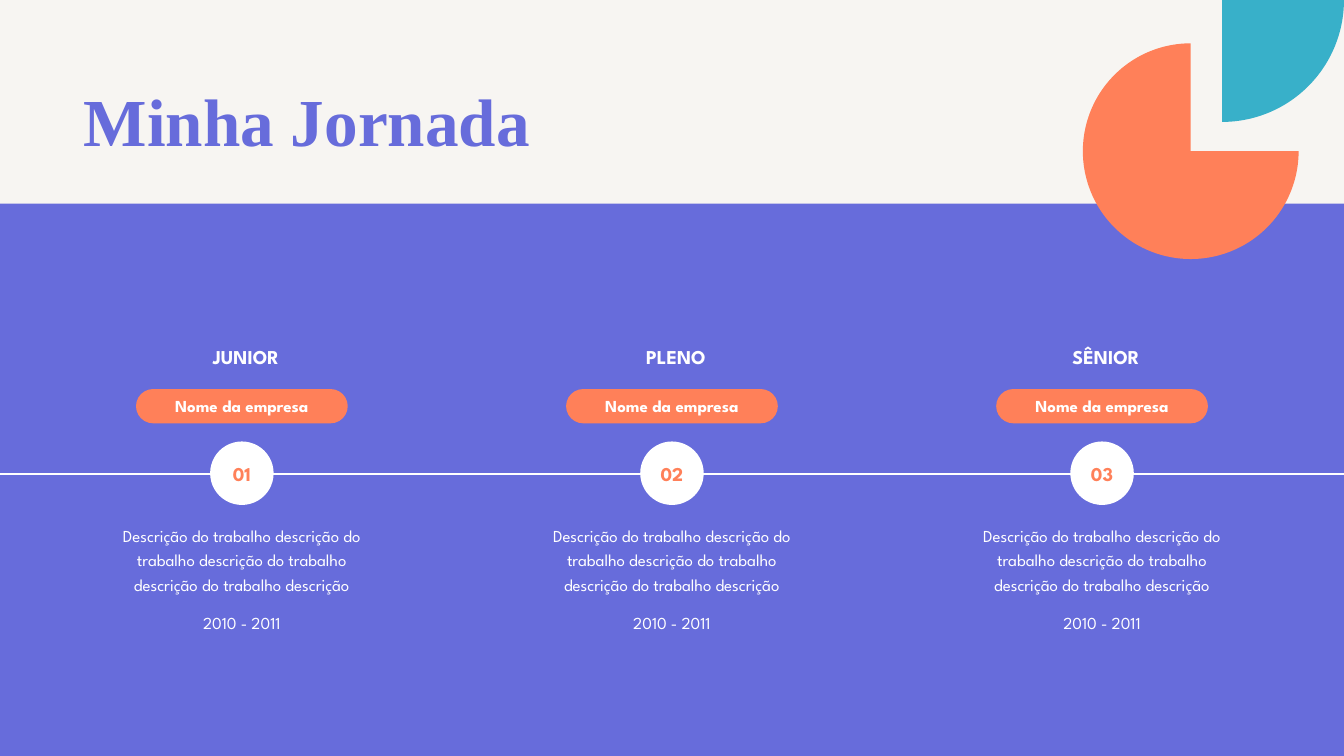
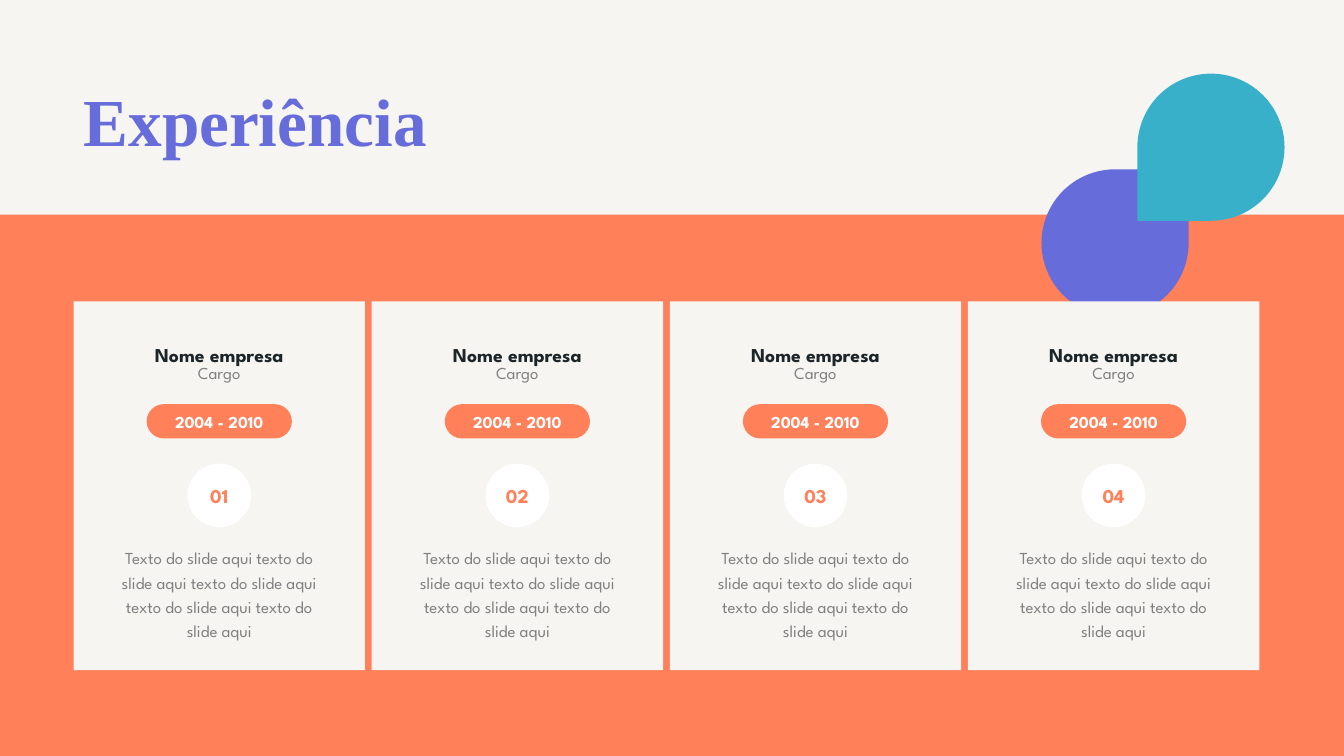
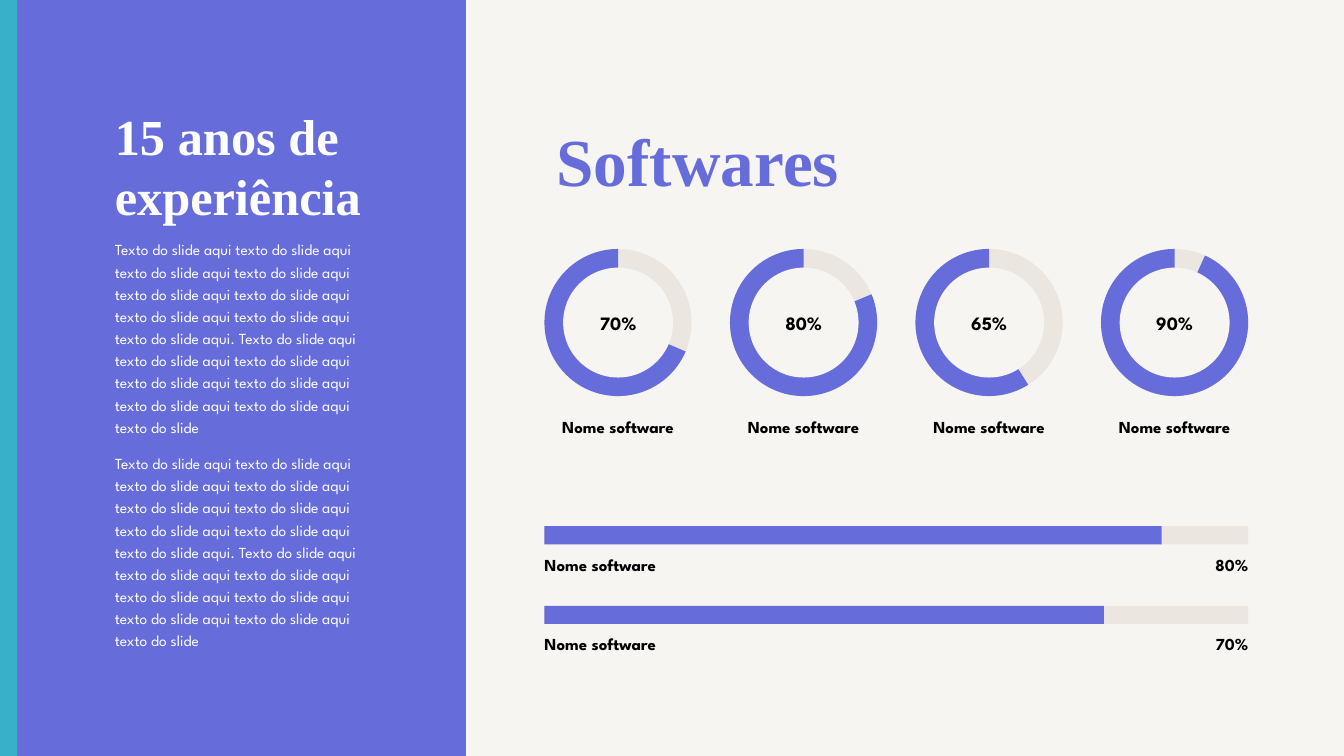
from math import cos, sin, pi
from pptx import Presentation
from pptx.dml.color import RGBColor
from pptx.enum.shapes import MSO_CONNECTOR, MSO_SHAPE as SHAPE
from pptx.enum.text import MSO_ANCHOR as ANCHOR, MSO_AUTO_SIZE, PP_ALIGN as ALIGN
from pptx.oxml.ns import qn
from pptx.util import Inches, Pt

W, H = 13.33, 7.5
PURPLE, ORANGE, TEAL = "676CDB", "FF8059", "38B0C9"
CREAM, BEIGE, WHITE = "F7F5F2", "EBE7E0", "FFFFFF"
BLACK, DARK, GRAY = "000000", "1C2528", "808080"
SANS, SERIF = "League Spartan", "Times New Roman"

STAGES = ["JUNIOR", "PLENO", "SÊNIOR"]
STAGE_CENTERS = [0.18, 0.5, 0.82]
COMPANY = "Nome da empresa"
JOB = ["Descrição do trabalho descrição do trabalho descrição do trabalho "
       "descrição do trabalho descrição", "2010 - 2011"]

CARDS = [("Nome empresa", "Cargo", "2004 - 2010",
          " ".join(["Texto do slide aqui"] + ["texto do slide aqui"] * 4))] * 4

RINGS = [("70%", 23.19), ("80%", 337.43), ("65%", 57.8), ("90%", 294.45)]
BARS = [("80%", 0.877), ("70%", 0.795)]
SOFTWARE = "Nome software"
ABOUT = " ".join(["Texto do slide aqui"] + ["texto do slide aqui"] * 7
                 + ["texto do slide aqui. Texto do slide aqui"]
                 + ["texto do slide aqui"] * 6 + ["texto do slide"])


def color(value):
    return RGBColor.from_string(value)


def write(sp, text, size=12, fill=WHITE, font=SANS, bold=False, align=ALIGN.CENTER,
          anchor=ANCHOR.TOP, spacing=None, wrap=True, side=0.1):
    tf = sp.text_frame
    tf.auto_size = MSO_AUTO_SIZE.NONE
    tf.word_wrap = wrap
    tf.vertical_anchor = anchor
    tf.margin_left = tf.margin_right = Inches(side)
    tf.margin_top = tf.margin_bottom = Inches(0.05)
    for i, line in enumerate([text] if isinstance(text, str) else text):
        p = tf.add_paragraph() if i else tf.paragraphs[0]
        p.alignment = align
        p.space_before = Pt(10 if i else 0)
        if spacing:
            p.line_spacing = spacing
        r = p.add_run()
        r.text = line
        r.font.name, r.font.size, r.font.bold = font, Pt(size), bold
        r.font.color.rgb = color(fill)


def paint(sp, fill):
    sp.shadow.inherit = False
    sp.fill.solid()
    sp.fill.fore_color.rgb = color(fill)
    sp.line.fill.background()
    return sp


def shape(s, kind, x, y, w, h, fill, adj=()):
    sp = s.shapes.add_shape(kind, Inches(x), Inches(y), Inches(w), Inches(h))
    for i, value in enumerate(adj):
        sp.adjustments[i] = value
    return paint(sp, fill)


def pie(s, x, y, size, fill, start):
    return shape(s, SHAPE.PIE, x, y, size, size, fill, (start * 0.6, 270 * 0.6))


def text_box(s, x, y, w, h, text, **fmt):
    write(s.shapes.add_textbox(Inches(x), Inches(y), Inches(w), Inches(h)), text, **fmt)


def pill(s, center, y, w, text):
    sp = shape(s, SHAPE.ROUNDED_RECTANGLE, center - w / 2, y, w, 0.34, ORANGE, (0.5,))
    write(sp, text, bold=True, anchor=ANCHOR.MIDDLE)


def badge(s, center, y, number):
    sp = shape(s, SHAPE.OVAL, center - 0.315, y, 0.63, 0.63, WHITE)
    write(sp, f"{number:02d}", size=14, fill=ORANGE, bold=True,
          anchor=ANCHOR.MIDDLE, wrap=False)


def new_slide(prs, title, x=0.73, y=0.56, w=5.55):
    s = prs.slides.add_slide(prs.slide_layouts[5])
    sp = s.shapes.title
    sp.left, sp.top, sp.width, sp.height = (Inches(v) for v in (x, y, w, 1.08))
    write(sp, title, size=48, fill=PURPLE, font=SERIF, bold=True,
          align=ALIGN.LEFT, spacing=Pt(70))
    return s


def journey(prs):
    s = new_slide(prs, "Minha Jornada")
    shape(s, SHAPE.RECTANGLE, 0, 2.02, W, H - 2.02, PURPLE)
    line = s.shapes.add_connector(MSO_CONNECTOR.STRAIGHT, 0, Inches(4.7), Inches(W), Inches(4.7))
    line.line.color.rgb = color(WHITE)
    line.line.width = Pt(1.5)
    sppr = line._element.spPr
    sppr.append(sppr.makeelement(qn("a:effectLst"), {}))

    radius = 1.21
    left = W - radius
    arc = [(left + radius * cos(i * pi / 120), radius * sin(i * pi / 120)) for i in range(61)]
    quarter = s.shapes.build_freeform(Inches(left), 0)
    quarter.add_line_segments([(Inches(x), Inches(y)) for x, y in arc], close=True)
    paint(quarter.convert_to_shape(), TEAL)
    pie(s, 10.74, 0.43, 2.14, ORANGE, 0)

    for i, (stage, share) in enumerate(zip(STAGES, STAGE_CENTERS), 1):
        center = W * share
        badge(s, center, 4.38, i)
        pill(s, center, 3.86, 2.1, COMPANY)
        text_box(s, center - 1.4, 5.13, 2.8, 0.94, JOB, spacing=1.2)
        text_box(s, center - 0.96, 3.36, 2, 0.35, stage, size=14, bold=True, anchor=ANCHOR.MIDDLE)


def experience(prs):
    s = new_slide(prs, "Experiência")
    shape(s, SHAPE.RECTANGLE, 0, 2.13, W, H - 2.13, ORANGE)
    shape(s, SHAPE.TEAR, 10.33, 1.68, 1.46, 1.46, PURPLE, (1,))
    shape(s, SHAPE.TEAR, 11.28, 0.73, 1.46, 1.46, TEAL, (1,)).rotation = 180
    left, right, card_w = 0.73, 12.49, 2.89
    pitch = (right - left - card_w) / (len(CARDS) - 1)
    for i, (company, role, years, body) in enumerate(CARDS):
        x = left + i * pitch
        center = x + card_w / 2
        shape(s, SHAPE.RECTANGLE, x, 2.99, card_w, 3.66, CREAM)
        badge(s, center, 4.6, i + 1)
        pill(s, center, 4.01, 1.44, years)
        text_box(s, center - 1.075, 5.35, 2.15, 0.94, body, fill=GRAY, spacing=1.2)
        text_box(s, center - 1.115, 3.35, 2.23, 0.34, company, size=14, fill=DARK, bold=True)
        text_box(s, center - 1.115, 3.55, 2.23, 0.34, role, fill=GRAY)


def software(prs):
    s = new_slide(prs, "Softwares", 5.42, 0.96, 4.69)
    shape(s, SHAPE.RECTANGLE, 0.17, 0, 4.45, H, PURPLE)
    shape(s, SHAPE.RECTANGLE, 0, 0, 0.17, H, TEAL)
    text_box(s, 1.04, 1.19, 2.66, 0.9, "15 anos de experiência", size=36, font=SERIF,
             bold=True, align=ALIGN.LEFT, anchor=ANCHOR.MIDDLE)
    text_box(s, 1.04, 2.3, 2.78, 4.07, [ABOUT, ABOUT], size=11, align=ALIGN.LEFT, spacing=1.2)

    left, width, ring, hole = 5.4, 6.98, 1.46, 1.09
    pitch = (width - ring) / (len(RINGS) - 1)
    label = dict(fill=BLACK, bold=True)
    for i, (percent, start) in enumerate(RINGS):
        x, y = left + i * pitch, 2.47
        inset = (ring - hole) / 2
        shape(s, SHAPE.OVAL, x, y, ring, ring, BEIGE)
        pie(s, x, y, ring, PURPLE, start)
        sp = shape(s, SHAPE.OVAL, x + inset, y + inset, hole, hole, CREAM)
        write(sp, percent, size=13.5, anchor=ANCHOR.MIDDLE, **label)
        text_box(s, x, 4.09, ring, 0.5, SOFTWARE, **label)

    for i, (percent, share) in enumerate(BARS):
        y = 5.22 + i * 0.79
        shape(s, SHAPE.RECTANGLE, left, y, width, 0.18, BEIGE)
        shape(s, SHAPE.RECTANGLE, left, y, width * share, 0.18, PURPLE)
        text_box(s, left, y + 0.23, 2.45, 0.3, SOFTWARE, align=ALIGN.LEFT, side=0, **label)
        text_box(s, left + width - 0.74, y + 0.23, 0.74, 0.3, percent,
                 align=ALIGN.RIGHT, side=0, **label)


def main():
    prs = Presentation()
    prs.slide_width, prs.slide_height = Inches(W), Inches(H)
    background = prs.slide_master.background.fill
    background.solid()
    background.fore_color.rgb = color(CREAM)
    for build in (journey, experience, software):
        build(prs)
    prs.save("out.pptx")


if __name__ == "__main__":
    main()
